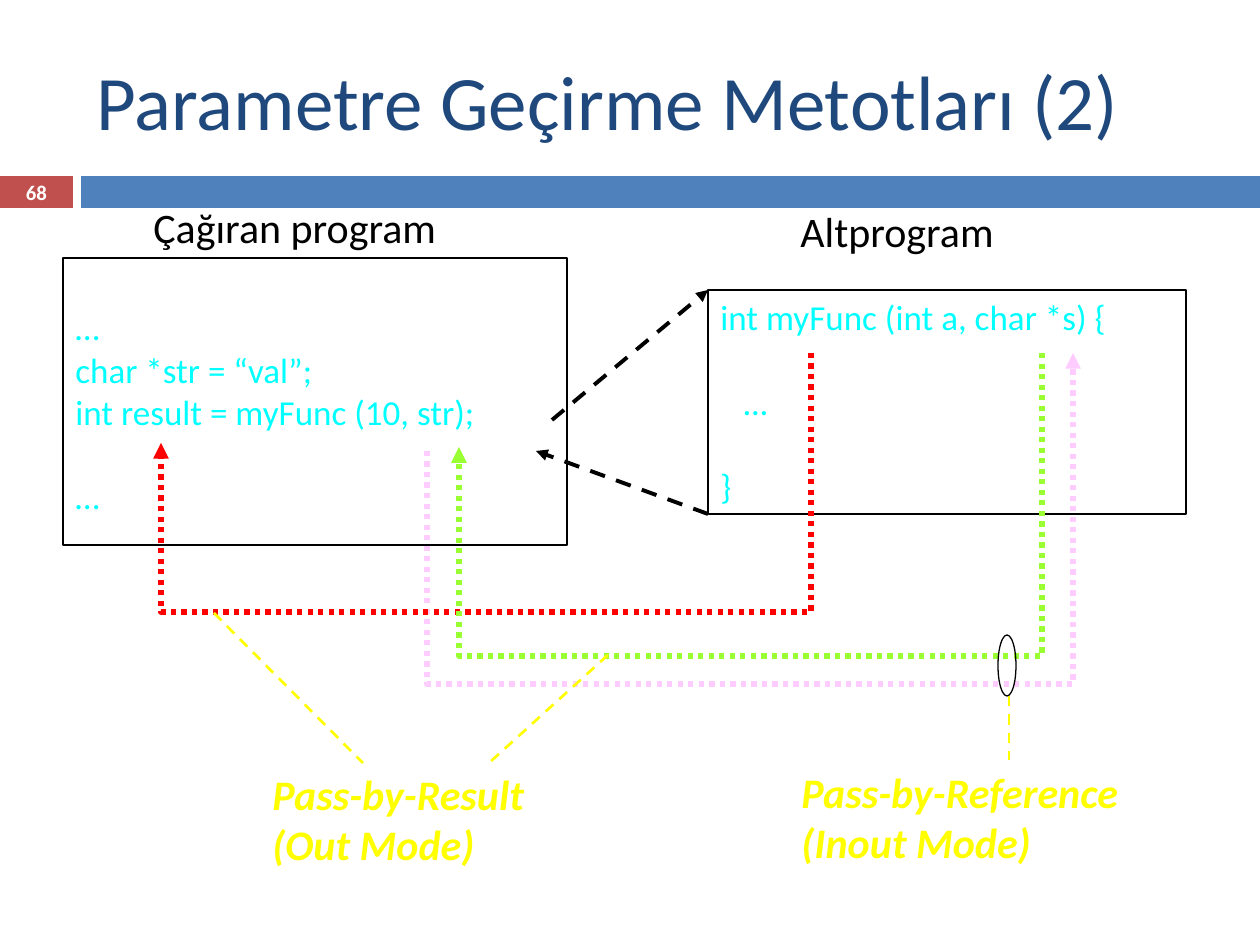
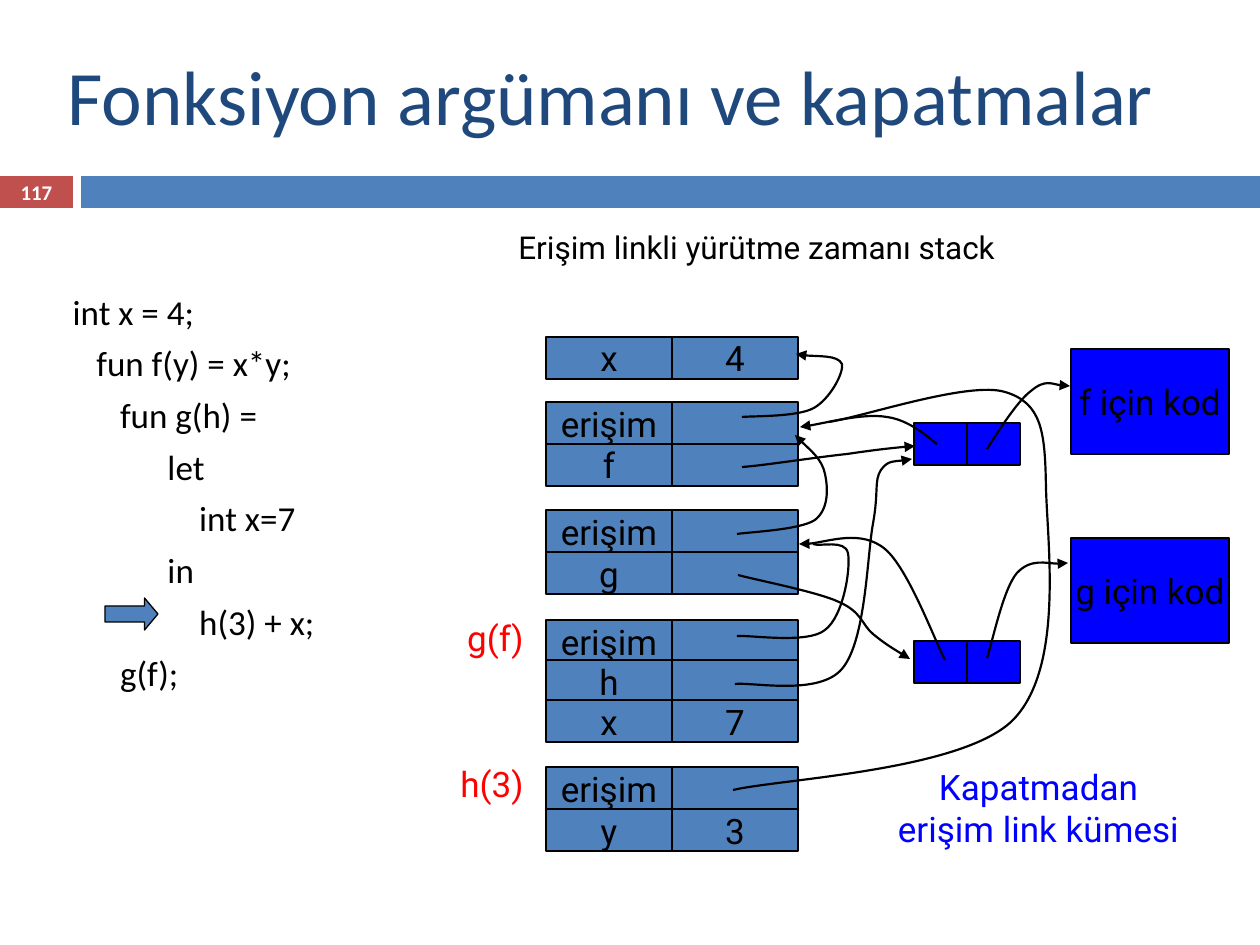
from lxml.etree import SubElement
from pptx import Presentation
from pptx.dml.color import RGBColor
from pptx.enum.dml import MSO_LINE
from pptx.enum.shapes import MSO_CONNECTOR, MSO_SHAPE
from pptx.enum.text import MSO_ANCHOR, MSO_AUTO_SIZE, PP_ALIGN
from pptx.oxml.ns import qn
from pptx.util import Pt

PX = 914400 / 126  # EMU in one px
COLORS = {
    "title": "1F497D", "band": "4F81BD", "number": "C0504D",
    "black": "000000", "white": "FFFFFF", "code": "00FFFF",
    "mode": "FFFF00", "inout": "FFCCFF", "out": "FF0000",
    "result": "99FF33", "closure": "0000FF", "call": "FF0000",
}
BAND_TOP, BAND_HEIGHT, NUMBER_WIDTH = 176, 32, 73
CELL_WIDTH, CELL_HEIGHT, STACK_LEFT = 126, 42, 546
LINE_GAP = 24  # points taken by one empty line of 20 pt code


def emu(*lengths):
    return [round(n * PX) for n in lengths]


def rgb(name):
    return RGBColor.from_string(COLORS[name])


def add_text(tf, text, size, color, font="Calibri", bold=False, italic=False,
             align=PP_ALIGN.LEFT, gap=0):
    """Write one paragraph, reusing the empty first one."""
    p = tf.paragraphs[0]
    if p.runs:
        p = tf.add_paragraph()
    p.alignment = align
    p.space_before = Pt(gap)
    r = p.add_run()
    r.text = text
    r.font.name, r.font.size = font, Pt(size)
    r.font.bold, r.font.italic = bold, italic
    r.font.color.rgb = rgb(color)
    return p


def add_label(s, box, text, size, color, anchor=MSO_ANCHOR.TOP, **style):
    tf = s.shapes.add_textbox(*emu(*box)).text_frame
    tf.word_wrap = True
    tf.vertical_anchor = anchor
    add_text(tf, text, size, color, **style)


def add_box(s, box, fill=None, line="black", kind=MSO_SHAPE.RECTANGLE):
    sp = s.shapes.add_shape(kind, *emu(*box))
    sp.shadow.inherit = False
    if fill:
        sp.fill.solid()
        sp.fill.fore_color.rgb = rgb(fill)
    else:
        sp.fill.background()
    if line:
        sp.line.color.rgb = rgb(line)
        sp.line.width = Pt(0.75)
    else:
        sp.line.fill.background()
    return sp


def add_cell(s, box, fill, text=""):
    sp = add_box(s, box, fill)
    if text:
        tf = sp.text_frame
        tf.word_wrap = False
        tf.vertical_anchor = MSO_ANCHOR.MIDDLE
        add_text(tf, text, 20, "black", font="Roboto", align=PP_ALIGN.CENTER)


def add_code_box(s, box, lines, lead=0):
    """Outlined code; lines are (text, gap, italic), lead px above the first."""
    tf = add_box(s, box).text_frame
    tf.word_wrap = True
    tf.vertical_anchor = MSO_ANCHOR.TOP
    tf.margin_top = emu(6 + lead)[0]
    for text, gap, italic in lines:
        add_text(tf, text, 20, "code", gap=gap, italic=italic)


def style_line(sp, color, width, dash=None, arrow=True):
    sp.line.color.rgb = rgb(color)
    sp.line.width = Pt(width)
    if dash:
        sp.line.dash_style = dash
    if arrow:
        SubElement(sp.line._get_or_add_ln(), qn("a:tailEnd"), type="triangle")


def add_connector(s, kind, start, end):
    return s.shapes.add_connector(kind, *emu(*start, *end))


def flatten(line):
    """Remove the shadow of a connector."""
    SubElement(line.element.spPr, qn("a:effectLst"))


def add_dashed(s, start, end, color, width, arrow=False):
    line = add_connector(s, MSO_CONNECTOR.STRAIGHT, start, end)
    style_line(line, color, width, MSO_LINE.DASH, arrow)
    flatten(line)


def add_u_arrow(s, start, end, bottom, color):
    """Dotted arrow that runs down to bottom, across and up to end."""
    (x1, y1), (x2, y2) = start, end
    mid_x, mid_y = (x1 + x2) / 2, (y1 + y2) / 2
    dx, dy = (y2 - y1) / 2, (x1 - x2) / 2  # extents before the quarter turn
    line = add_connector(s, MSO_CONNECTOR.ELBOW,
                         (mid_x - dx, mid_y - dy), (mid_x + dx, mid_y + dy))
    spPr = line.element.spPr
    spPr.find(qn("a:xfrm")).set("rot", "5400000")
    turn = round((bottom - y1) / (y2 - y1) * 100000)
    SubElement(spPr.find(".//" + qn("a:avLst")), qn("a:gd"),
               name="adj1", fmla=f"val {turn}")
    style_line(line, color, 3, MSO_LINE.ROUND_DOT)
    flatten(line)


def add_curve(s, points, arrow=True):
    """Bezier line: a start, then two handles and an end for each piece."""
    builder = s.shapes.build_freeform(*points[0], scale=PX)
    builder.add_line_segments(points[1:], close=False)
    sp = builder.convert_to_shape()
    sp.shadow.inherit = False
    sp.fill.background()
    style_line(sp, "black", 1.25, arrow=arrow)
    outline = sp.element.find(".//" + qn("a:path"))
    steps = outline.findall(qn("a:lnTo"))
    for i in range(0, len(steps), 3):
        piece = SubElement(outline, qn("a:cubicBezTo"))
        for step in steps[i:i + 3]:
            piece.append(step[0])
            outline.remove(step)


def place(sp, box):
    sp.left, sp.top, sp.width, sp.height = emu(*box)
    sp.text_frame.word_wrap = True
    sp.text_frame.auto_size = MSO_AUTO_SIZE.NONE
    return sp.text_frame


def add_bands_to_master(prs, s):
    """Draw the bands on a slide and move them behind the master's parts."""
    left = NUMBER_WIDTH + 8
    bands = [((0, BAND_TOP, NUMBER_WIDTH, BAND_HEIGHT), "number"),
             ((left, BAND_TOP, 1260 - left, BAND_HEIGHT), "band")]
    for i, (box, fill) in enumerate(bands):
        sp = add_box(s, box, fill, line=None)
        sp.element.nvSpPr.cNvPr.id = 100 + i
        prs.slide_master.shapes.element.insert(2 + i, sp.element)


def add_slide(prs, layout, title, title_box, number):
    s = prs.slides.add_slide(prs.slide_layouts[layout])
    tf = place(s.shapes.title, title_box)
    tf.vertical_anchor = MSO_ANCHOR.MIDDLE
    add_text(tf, title, 44, "title")
    add_label(s, (0, BAND_TOP - 1, NUMBER_WIDTH, 34), number, 11.9, "white",
              MSO_ANCHOR.MIDDLE, bold=True, align=PP_ALIGN.CENTER)
    return s


def add_frame(s, top, rows, pitch=CELL_HEIGHT):
    """One stack frame: rows of name and value."""
    for i, row in enumerate(rows):
        for j, text in enumerate(row):
            add_cell(s, (STACK_LEFT + j * CELL_WIDTH, top + i * pitch,
                         CELL_WIDTH, CELL_HEIGHT), "band", text)


def add_closure(s, top, code_top, code):
    for left in (914, 967):
        add_cell(s, (left, top, 53, 42), "closure")
    add_cell(s, (1071, code_top, 158, 105), "closure", code)


def draw_passing(s):
    add_label(s, (141, 195, 315, 63), "Çağıran program", 24, "black")
    add_label(s, (788, 199, 315, 63), "Altprogram", 24, "black")
    add_code_box(s, (708, 290, 478, 224), [
        ("int myFunc (int a, char *s) {", 0, False),
        ("   …", LINE_GAP, True),
        ("}", LINE_GAP, False)])
    add_code_box(s, (63, 258, 504, 287), [
        ("…", 0, False),
        ("char *str = “val”;", 0, False),
        ("int result = myFunc (10, str);", 0, False),
        ("…", LINE_GAP, False)], lead=42)
    add_dashed(s, (552, 420), (708, 290), "black", 2.25, arrow=True)
    add_dashed(s, (708, 514), (536, 451), "black", 2.25, arrow=True)
    add_u_arrow(s, (427, 451), (1073, 353), 684, "inout")
    add_u_arrow(s, (811, 353), (161, 443), 612, "out")
    add_u_arrow(s, (1042, 353), (459, 447), 656, "result")
    for box, text in [((260, 762, 330, 115), "Pass-by-Result (Out Mode)"),
                      ((789, 760, 441, 115), "Pass-by-Reference (Inout Mode)")]:
        add_label(s, box, text, 24, "mode", bold=True, italic=True)
    for start, end in [((214, 613), (363, 763)), ((608, 655), (489, 763)),
                       ((1009, 696), (1009, 760))]:
        add_dashed(s, start, end, "mode", 1.5)
    add_box(s, (998, 635, 18, 61), kind=MSO_SHAPE.OVAL)


def draw_closures(s):
    tf = place(s.placeholders[1], (10, 284, 431, 535))
    code = ["int x = 4;", "   fun f(y) = x*y;", "      fun g(h) =",
            "            let", "                int x=7", "            in",
            "                h(3) + x;", "      g(f);"]
    for i, text in enumerate(code):
        p = add_text(tf, text, 20, "black", gap=5.5 if i else 0)
        p.level = 1
        pPr = p._p.get_or_add_pPr()
        margin, indent = emu(88, -38)
        pPr.set("marL", str(margin))
        pPr.set("indent", str(indent))
        SubElement(pPr, qn("a:buNone"))
    arrow = add_box(s, (105, 598, 53, 32), "band", kind=MSO_SHAPE.RIGHT_ARROW)
    arrow.adjustments[1] = 0.42

    add_label(s, (506, 222, 683, 84), "Erişim linkli yürütme zamanı stack",
              18, "black", font="Roboto")
    add_frame(s, 337, [("x", "4")])
    add_frame(s, 402, [("erişim", ""), ("f", "")])
    add_frame(s, 510, [("erişim", ""), ("g", "")])
    add_frame(s, 620, [("erişim", ""), ("h", ""), ("x", "7")], pitch=40)
    add_frame(s, 767, [("erişim", ""), ("y", "3")])
    for top, call in [(610, "g(f)"), (756, "h(3)")]:
        add_label(s, (357, top, 179, 54), call, 20, "call", font="Roboto",
                  align=PP_ALIGN.RIGHT)
    add_closure(s, 423, 349, "f için kod")
    add_closure(s, 641, 538, "g için kod")
    add_label(s, (876, 759, 325, 97), "Kapatmadan erişim link kümesi", 20,
              "closure", font="Roboto", align=PP_ALIGN.CENTER)

    access_x = [(742, 417), (755, 416), (798, 417), (814, 408), (830, 399),
                (844, 373), (842, 364), (838, 355), (805, 357), (796, 354)]
    f_value = [(742, 467), (760, 466), (818, 457), (847, 454), (874, 450),
               (900, 447), (915, 446)]
    f_env = [(937, 444), (929, 438), (910, 420), (887, 417), (864, 413),
             (818, 425), (800, 427)]
    f_code = [(987, 449), (994, 438), (1017, 401), (1031, 391), (1045, 379),
              (1062, 387), (1070, 386)]
    access_f = [(737, 534), (750, 532), (800, 530), (815, 520), (829, 509),
                (828, 488), (825, 474), (822, 459), (801, 442), (795, 435)]
    g_value = [(738, 575), (756, 580), (818, 592), (839, 602), (862, 612),
               (862, 625), (873, 634), (885, 644), (902, 654), (910, 659)]
    g_env = [(945, 660), (935, 641), (908, 568), (885, 549), (861, 529),
             (816, 546), (799, 544)]
    g_code = [(987, 658), (992, 644), (1003, 589), (1017, 573), (1031, 558),
              (1058, 566), (1068, 563)]
    h_value = [(735, 684), (753, 682), (819, 696), (842, 669), (866, 641),
               (867, 557), (873, 524), (879, 491), (874, 481), (881, 470),
               (888, 460), (906, 461), (912, 459)]
    access_g = [(737, 636), (751, 635), (808, 644), (825, 630), (844, 616),
                (851, 567), (848, 553), (845, 539), (820, 547), (813, 544)]
    access_h = [(733, 790), (780, 779), (960, 771), (1012, 721), (1065, 669),
                (1047, 542), (1046, 486), (1045, 432), (1042, 403),
                (1005, 392), (969, 381), (866, 416), (829, 422)]
    for points in (access_x, f_value, f_env, f_code, access_f, g_value,
                   g_env, g_code, h_value):
        add_curve(s, points)
    for points in (access_g, access_h):
        add_curve(s, points, arrow=False)


def main():
    prs = Presentation()
    prs.slide_width, prs.slide_height = emu(1260, 945)
    passing = add_slide(prs, 5, "Parametre Geçirme Metotları (2)",
                        (84, 32, 1124, 136), "68")
    add_bands_to_master(prs, passing)
    draw_passing(passing)
    closures = add_slide(prs, 1, "Fonksiyon argümanı ve kapatmalar",
                         (55, 32, 1120, 126), "117")
    draw_closures(closures)
    prs.save("out.pptx")


if __name__ == "__main__":
    main()
